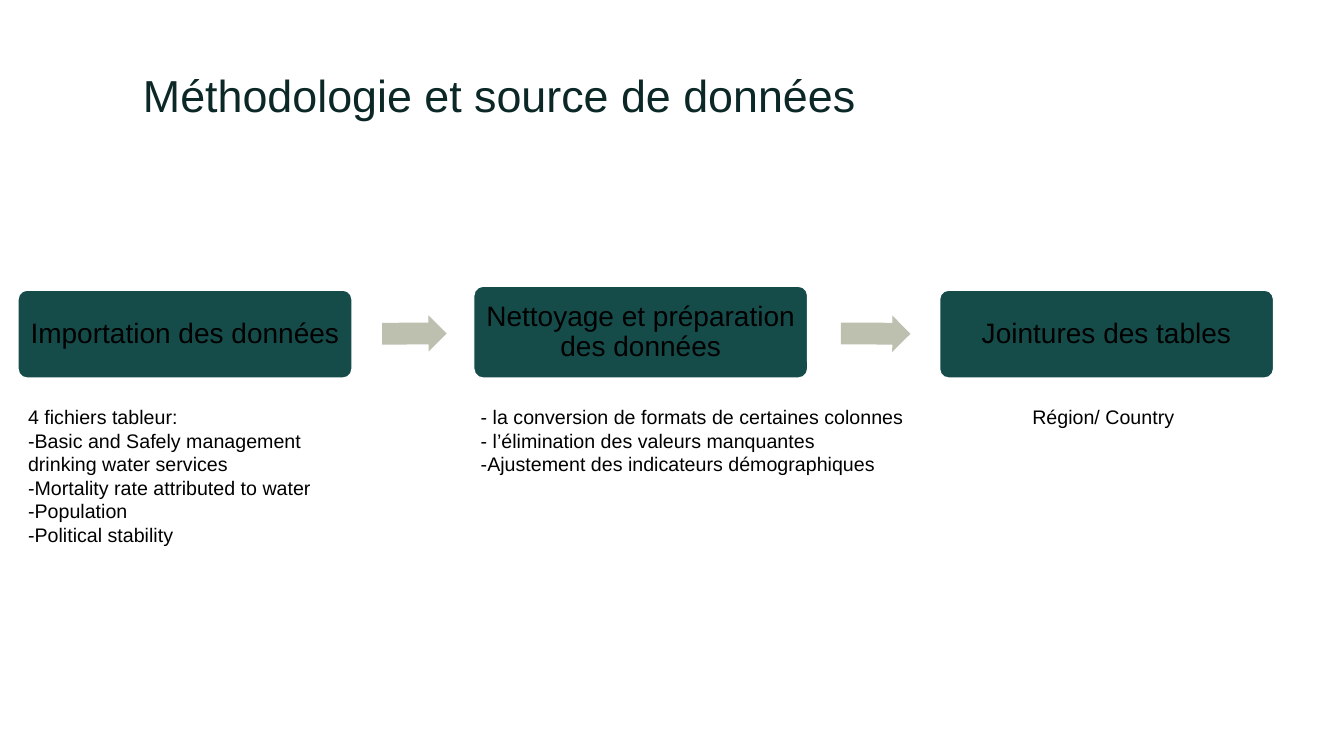
from pptx import Presentation
from pptx.dml.color import RGBColor
from pptx.enum.shapes import MSO_SHAPE
from pptx.enum.text import MSO_ANCHOR, MSO_AUTO_SIZE, PP_ALIGN
from pptx.util import Pt

PX = 9144  # EMU per px, 100 px to the inch
ROUNDED, ARROW = MSO_SHAPE.ROUNDED_RECTANGLE, MSO_SHAPE.RIGHT_ARROW
TOP, MIDDLE, BOTTOM = MSO_ANCHOR.TOP, MSO_ANCHOR.MIDDLE, MSO_ANCHOR.BOTTOM
LEFT, CENTER = PP_ALIGN.LEFT, PP_ALIGN.CENTER
GROW = MSO_AUTO_SIZE.SHAPE_TO_FIT_TEXT

STEP_W, STEP_BOTTOM, NOTE_TOP = 331, 375, 397
# step: label, left, height
STEPS = [
    ("Importation des données", 18, 87),
    ("Nettoyage et préparation des données", 470, 91),
    ("Jointures des tables", 932, 87),
]
# arrow: left, width, rotation
ARROWS = [(379, 64, 359.7), (834, 69, 0.3)]
# note: left, width, height, wrap, lines
NOTES = [
    (18, 348, 151, True, [
        "4 fichiers tableur:",
        "-Basic and Safely management drinking water services",
        "-Mortality rate attributed to water",
        "-Population",
        "-Political stability",
    ]),
    (467, 447, 81, False, [
        "- la conversion de formats de certaines colonnes",
        "- l’élimination des valeurs manquantes",
        "-Ajustement des indicateurs démographiques",
    ]),
    (1014, 167, 34, False, ["Région/ Country"]),
]


def px(*lengths):
    return [n * PX for n in lengths]


def rgb(value):
    return RGBColor.from_string(value)


class Deck:
    font = "Arial"
    ink, title_ink = "000000", "0B2827"
    step_fill, arrow_fill, edge = "154C4A", "BDC0AE", "FFFFFF"

    def __init__(self, width, height):
        self.prs = Presentation()
        self.prs.slide_width, self.prs.slide_height = px(width, height)
        self.s = self.prs.slides.add_slide(self.prs.slide_layouts[6])

    def fill_text(self, sp, lines, size, color, align=LEFT, spacing=None, **frame):
        tf = sp.text_frame
        for name, value in frame.items():
            setattr(tf, name, value)
        for i, line in enumerate(lines):
            p = tf.paragraphs[0] if i == 0 else tf.add_paragraph()
            p.alignment, p.line_spacing = align, spacing
            r = p.add_run()
            r.text = line
            r.font.color.rgb = rgb(color)
            for name, value in {"name": self.font, "size": Pt(size)}.items():
                setattr(r.font, name, value)

    def shape(self, kind, box, fill, *adjustments):
        sp = self.s.shapes.add_shape(kind, *px(*box))
        sp.shadow.inherit = False
        sp.fill.solid()
        sp.fill.fore_color.rgb = rgb(fill)
        for i, value in enumerate(adjustments):
            sp.adjustments[i] = value
        return sp

    def title(self, text, *box):
        sp = self.s.shapes.add_textbox(*px(*box))
        self.fill_text(sp, [text], 32, self.title_ink,
                       word_wrap=True, vertical_anchor=BOTTOM)

    def step(self, label, *box):
        sp = self.shape(ROUNDED, box, self.step_fill, 0.1)
        sp.line.color.rgb = rgb(self.edge)
        sp.line.width = Pt(0.85)
        sides = ("left", "top", "right", "bottom")
        margins = {f"margin_{side}": 8 * PX for side in sides}
        self.fill_text(sp, [label], 20, self.ink, CENTER, 0.9,
                       word_wrap=True, vertical_anchor=MIDDLE, **margins)

    def arrow(self, rotation, *box):
        sp = self.shape(ARROW, box, self.arrow_fill, 0.6, 0.5)
        sp.line.fill.background()
        sp.rotation = rotation

    def note(self, lines, wrap, *box):
        sp = self.s.shapes.add_textbox(*px(*box))
        self.fill_text(sp, lines, 14, self.ink, word_wrap=wrap,
                       vertical_anchor=TOP, auto_size=GROW)


def main():
    deck = Deck(1333, 750)
    deck.title("Méthodologie et source de données", 132, 3, 1117, 122)
    for label, left, height in STEPS:
        deck.step(label, left, STEP_BOTTOM - height, STEP_W, height)
    for left, width, rotation in ARROWS:
        deck.arrow(rotation, left, 313, width, 36)
    for left, width, height, wrap, lines in NOTES:
        deck.note(lines, wrap, left, NOTE_TOP, width, height)
    deck.prs.save("out.pptx")


if __name__ == "__main__":
    main()
